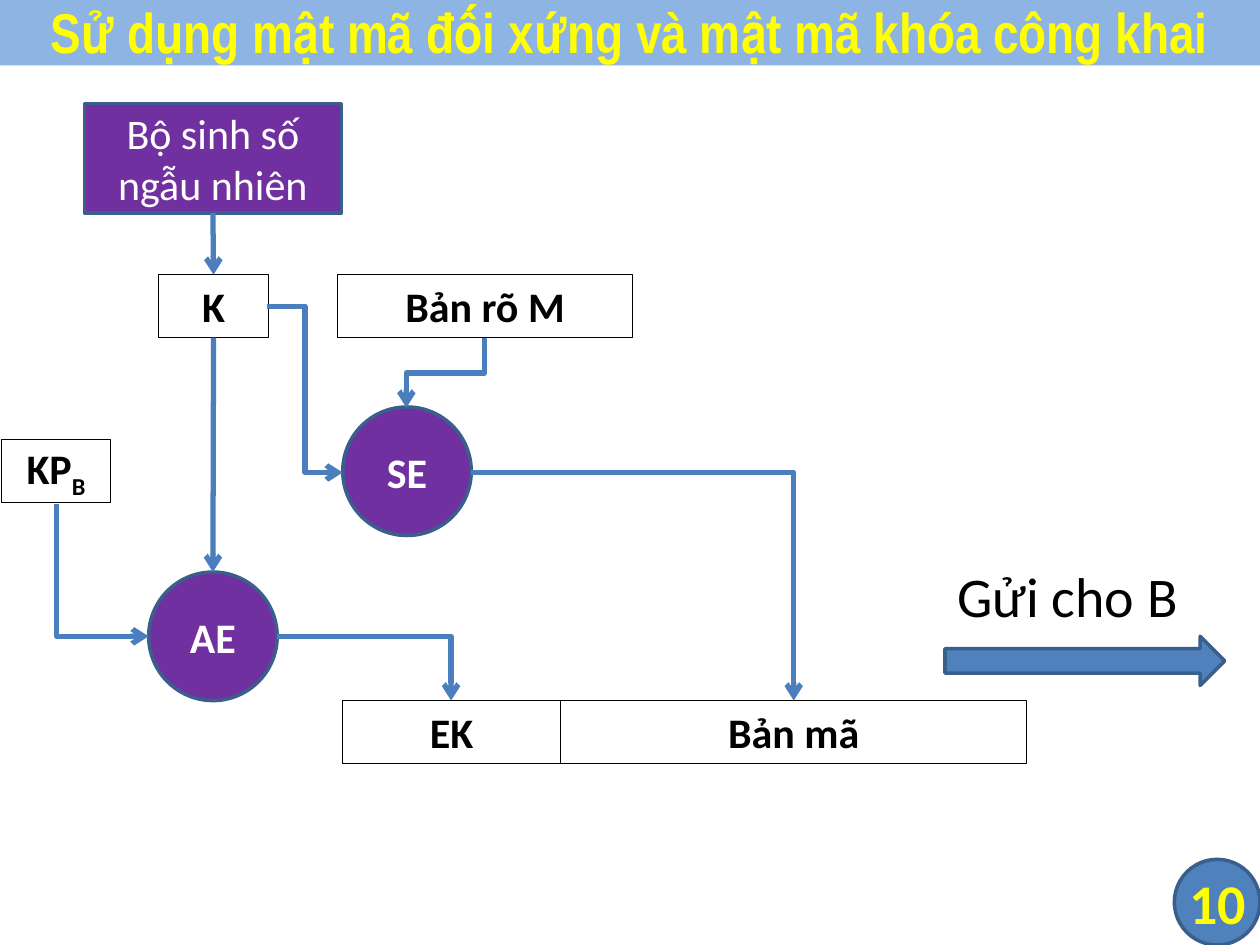
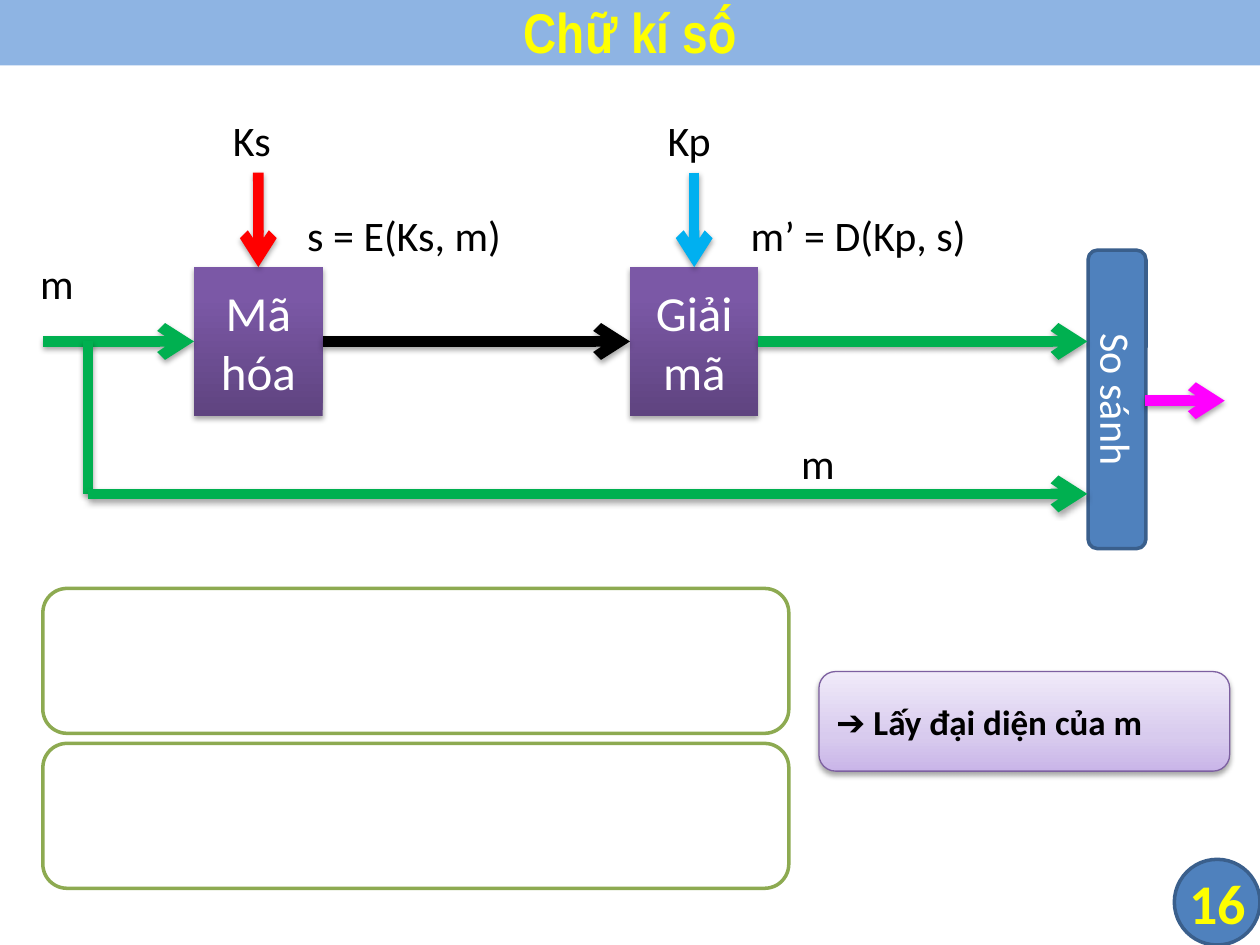
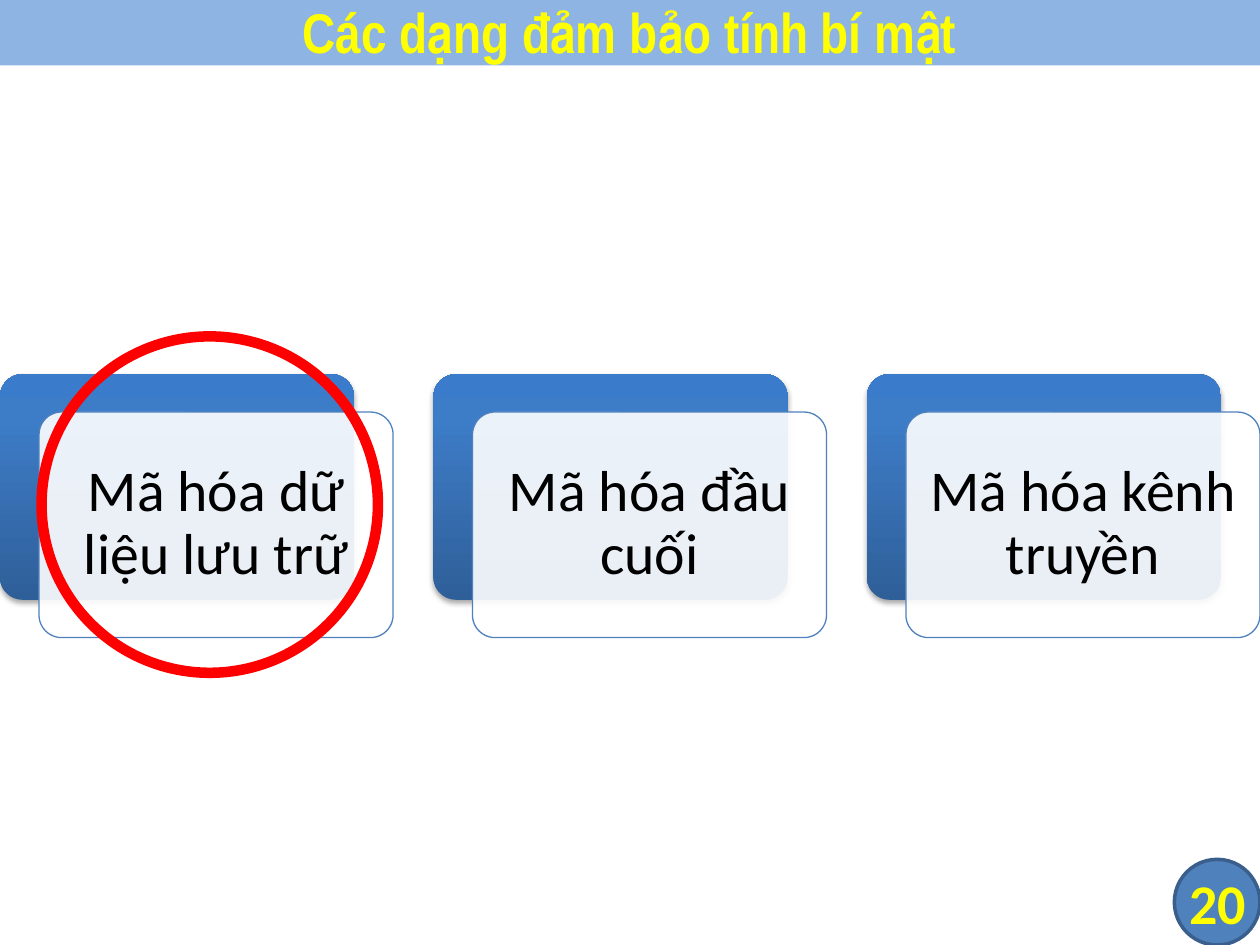
"""Build three cryptography slides: hybrid encryption, digital signature, confidentiality."""
import copy

import lxml.etree
import pptx
import pptx.dml.color
import pptx.enum.shapes
import pptx.enum.text
import pptx.oxml
import pptx.oxml.ns
import pptx.util

Inches = pptx.util.Inches
Pt = pptx.util.Pt
RGB = pptx.dml.color.RGBColor.from_string
qn = pptx.oxml.ns.qn
MSO = pptx.enum.shapes.MSO_SHAPE
ALIGN = pptx.enum.text.PP_ALIGN
MIDDLE = pptx.enum.text.MSO_ANCHOR.MIDDLE

C = {
    "band": "8EB4E3", "yellow": "FFFF00", "blue": "4F81BD", "edge": "3A5F8C",
    "flow": "4B7EBC", "purple": "7030A0", "white": "FFFFFF", "black": "000000",
    "green": "00B050", "red": "FF0000", "cyan": "00B0F0", "magenta": "FF00FF",
    "olive": "8DAA51", "violet": "7D60A0",
}
PURPLE_GRAD = [(0, "5F4480"), (80, "7B58A6"), (100, "7C57A8")]
LILAC_GRAD = [(0, "C9B5E8"), (35, "D8CBEE"), (100, "F0EAF9")]
BLUE_GRAD = [(0, "2F5F99"), (80, "3D7CC7"), (100, "3A7CCB")]
SHADOW = pptx.oxml.parse_xml(
    '<a:outerShdw xmlns:a="http://schemas.openxmlformats.org/drawingml/2006/main" '
    'blurRad="40000" dist="23000" dir="5400000" rotWithShape="0">'
    '<a:srgbClr val="000000"><a:alpha val="35000"/></a:srgbClr></a:outerShdw>')


def add_box(s, kind, at, text="", size=24, color="black", bold=False, align=ALIGN.CENTER,
            fill=None, line=None, width=2, shadow=False):
    at = [Inches(v) for v in at]
    if kind is None:
        sp = s.shapes.add_textbox(*at)
    else:
        sp = s.shapes.add_shape(kind, *at)
        sp.shadow.inherit = False
        if isinstance(fill, list):
            sp.fill.gradient()
            sp.fill.gradient_angle = 90
            stops = sp._element.spPr.find(".//" + qn("a:gsLst"))
            stops.clear()
            for pos, value in fill:
                gs = lxml.etree.SubElement(stops, qn("a:gs"), pos=str(pos * 1000))
                lxml.etree.SubElement(gs, qn("a:srgbClr"), val=value)
        elif fill:
            sp.fill.solid()
            sp.fill.fore_color.rgb = RGB(C[fill])
        else:
            sp.fill.background()
        if line:
            sp.line.color.rgb = RGB(C[line])
            sp.line.width = Pt(width)
        else:
            sp.line.fill.background()
        if shadow:
            sp._element.spPr.find(qn("a:effectLst")).append(copy.deepcopy(SHADOW))
    if text:
        tf = sp.text_frame
        tf.word_wrap = True
        tf.vertical_anchor = MIDDLE
        p = tf.paragraphs[0]
        p.add_run().text = text
        p.alignment = align
        p.font.name = "Calibri"
        p.font.size = Pt(size)
        p.font.bold = bold
        p.font.color.rgb = RGB(C[color])
    return sp


def add_line(s, begin, end, color="flow", width=3, arrow=True, shadow=False,
             preset="line", rotation=0):
    kind = pptx.enum.shapes.MSO_CONNECTOR.STRAIGHT
    if preset != "line":
        kind = pptx.enum.shapes.MSO_CONNECTOR.ELBOW
    cxn = s.shapes.add_connector(kind, *[Inches(v) for v in begin + end])
    cxn.line.color.rgb = RGB(C[color])
    cxn.line.width = Pt(width)
    spPr = cxn._element.spPr
    if arrow:
        lxml.etree.SubElement(spPr.find(qn("a:ln")), qn("a:tailEnd"), type="arrow")
    effects = lxml.etree.SubElement(spPr, qn("a:effectLst"))
    if shadow:
        effects.append(copy.deepcopy(SHADOW))
    spPr.find(qn("a:prstGeom")).set("prst", preset)
    if rotation:
        spPr.find(qn("a:xfrm")).set("rot", str(rotation * 60000))
    return cxn


prs = pptx.Presentation()
prs.slide_width, prs.slide_height = Inches(10), Inches(7.5)
layout = prs.slide_layouts[5]

slides = []
for title, number in [
    ("Sử dụng mật mã đối xứng và mật mã khóa công khai", "10"),
    ("Chữ kí số", "16"),
    ("Các dạng đảm bảo tính bí mật", "20"),
]:
    s = prs.slides.add_slide(layout)
    if not slides:
        badge = add_box(s, MSO.FLOWCHART_CONNECTOR, (9.32, 6.82, 0.68, 0.68),
                        fill="blue", line="edge")
        layout.shapes._spTree.append(badge._element)
    sp = s.shapes.title
    sp.left, sp.top, sp.width, sp.height = [Inches(v) for v in (0, -0.03, 10, 0.55)]
    sp.fill.solid()
    sp.fill.fore_color.rgb = RGB(C["band"])
    tf = sp.text_frame
    tf.text = title
    tf.auto_size = pptx.enum.text.MSO_AUTO_SIZE.NONE
    tf.vertical_anchor = MIDDLE
    p = tf.paragraphs[0]
    p.alignment = ALIGN.CENTER
    p.font.name = "Arial Narrow"
    p.font.size = Pt(32)
    p.font.bold = True
    p.font.color.rgb = RGB(C["yellow"])
    tf = add_box(s, None, (9.33, 6.82, 0.67, 0.68), number, 32, "yellow", True).text_frame
    tf.margin_left = tf.margin_top = tf.margin_right = tf.margin_bottom = 0
    slides.append(s)

s = slides[0]
generator = add_box(s, MSO.RECTANGLE, (0.67, 0.82, 2.04, 0.87), "Bộ sinh số ngẫu nhiên",
                    color="white", fill="purple", line="edge")
data = {}
for text, x, y, w in [
    ("K", 1.26, 2.18, 0.87),
    ("Bản rõ M", 2.68, 2.18, 2.34),
    ("KP", 0.01, 3.49, 0.87),
    ("EK", 2.72, 5.56, 1.73),
    ("Bản mã", 4.45, 5.56, 3.7),
]:
    data[text] = add_box(s, MSO.RECTANGLE, (x, y, w, 0.5), text, bold=True,
                         line="black", width=0.75)
r = data["KP"].text_frame.paragraphs[0].add_run()
r.text = "B"
r.font._element.set("baseline", "-25000")

ciphers = {}
for text, x, y in [("SE", 2.72, 3.23), ("AE", 1.18, 4.54)]:
    ciphers[text] = add_box(s, MSO.OVAL, (x, y, 1.02, 1.02), text, color="white",
                            bold=True, fill="purple", line="edge")

cxn = add_line(s, (1.69, 1.69), (1.69, 2.18))
cxn.begin_connect(generator, 2)
cxn.end_connect(data["K"], 0)
cxn = add_line(s, (1.69, 2.68), (1.69, 4.54))
cxn.begin_connect(data["K"], 2)
cxn.end_connect(ciphers["AE"], 0)
for begin, end, preset, rotation in [
    ((2.12, 2.43), (2.72, 3.75), "bentConnector3", 0),
    ((3.26, 2.65), (3.81, 3.27), "bentConnector3", 90),
    ((1.34, 4.16), (0.29, 4.89), "bentConnector2", 270),
    ((2.2, 5.05), (3.58, 5.56), "bentConnector2", 0),
    ((3.74, 3.75), (6.3, 5.56), "bentConnector2", 0),
]:
    add_line(s, begin, end, preset=preset, rotation=rotation)

add_box(s, MSO.RIGHT_ARROW, (7.5, 5.05, 2.22, 0.39), fill="blue", line="edge")
add_box(s, None, (7.5, 4.4, 2.22, 0.64), "Gửi cho B", 32, align=ALIGN.LEFT)

s = slides[1]
encrypt, decrypt = [
    add_box(s, MSO.RECTANGLE, (x, 2.12, 1.02, 1.18), text, 28, "white",
            fill=PURPLE_GRAD, shadow=True)
    for text, x in [("Mã hóa", 1.54), ("Giải mã", 5)]
]
compare = add_box(s, MSO.ROUNDED_RECTANGLE, (7.68, 2.94, 2.37, 0.46), "So sánh",
                  color="white", fill="blue", line="edge")
compare.rotation = 90

for begin, end, color, arrow, source, target in [
    ((0.34, 2.71), (1.54, 2.71), "green", True, None, (encrypt, 1)),
    ((2.56, 2.71), (5, 2.71), "black", True, (encrypt, 3), (decrypt, 1)),
    ((6.02, 2.71), (8.63, 2.71), "green", True, (decrypt, 3), None),
    ((0.7, 2.71), (0.7, 3.92), "green", False, None, None),
    ((0.7, 3.92), (8.63, 3.92), "green", True, None, None),
    ((9.09, 3.18), (9.72, 3.18), "magenta", True, None, None),
    ((2.05, 1.37), (2.05, 2.12), "red", True, None, (encrypt, 0)),
    ((5.51, 1.37), (5.51, 2.12), "cyan", True, None, (decrypt, 0)),
]:
    cxn = add_line(s, begin, end, color, 6, arrow, True)
    if source:
        cxn.begin_connect(*source)
    if target:
        cxn.end_connect(*target)

for text, x, y, w in [
    ("m", 0.22, 1.99, 0.48),
    ("m", 6.26, 3.42, 0.48),
    ("Ks", 1.75, 0.86, 0.59),
    ("Kp", 5.2, 0.86, 0.61),
    ("s = E(Ks, m)", 2.34, 1.61, 2.06),
    ("m’ = D(Kp, s)", 5.86, 1.61, 2.25),
]:
    add_box(s, None, (x, y, w, 0.5), text, align=ALIGN.LEFT)

for y in (4.67, 5.9):
    add_box(s, MSO.ROUNDED_RECTANGLE, (0.34, y, 5.92, 1.15), fill="white", line="olive")
add_box(s, MSO.ROUNDED_RECTANGLE, (6.5, 5.33, 3.26, 0.79), "➔ Lấy đại diện của m", 20,
        bold=True, align=ALIGN.LEFT, fill=LILAC_GRAD, line="violet", width=0.75, shadow=True)

s = slides[2]
for i, text in enumerate(["Mã hóa dữ liệu lưu trữ", "Mã hóa đầu cuối", "Mã hóa kênh truyền"]):
    x = i * 3.44
    back = add_box(s, MSO.ROUNDED_RECTANGLE, (x, 2.97, 2.81, 1.79), fill=BLUE_GRAD, shadow=True)
    card = add_box(s, MSO.ROUNDED_RECTANGLE, (x + 0.31, 3.27, 2.81, 1.79),
                   fill="white", line="blue", width=0.75)
    back.adjustments[0] = card.adjustments[0] = 0.1
    white = card._element.spPr.find(qn("a:solidFill")).find(qn("a:srgbClr"))
    lxml.etree.SubElement(white, qn("a:alpha"), val="90000")
    tf = add_box(s, None, (x + 0.36, 3.32, 2.71, 1.68), text, 33).text_frame
    tf.margin_left = tf.margin_top = tf.margin_right = tf.margin_bottom = Inches(0.14)
    tf.paragraphs[0].line_spacing = 0.9
add_box(s, MSO.OVAL, (0.33, 2.67, 2.67, 2.67), line="red", width=6)

prs.save("out.pptx")
